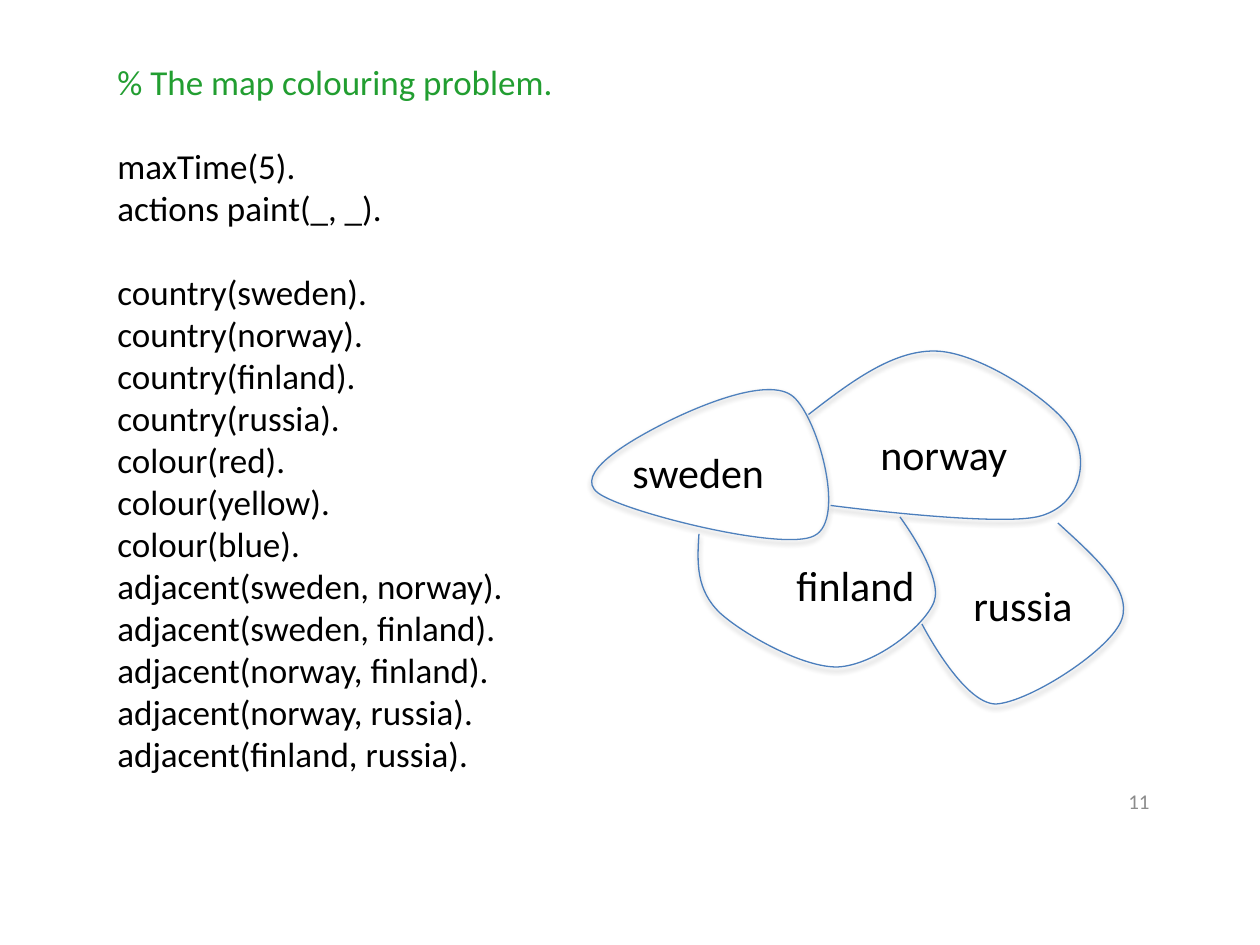
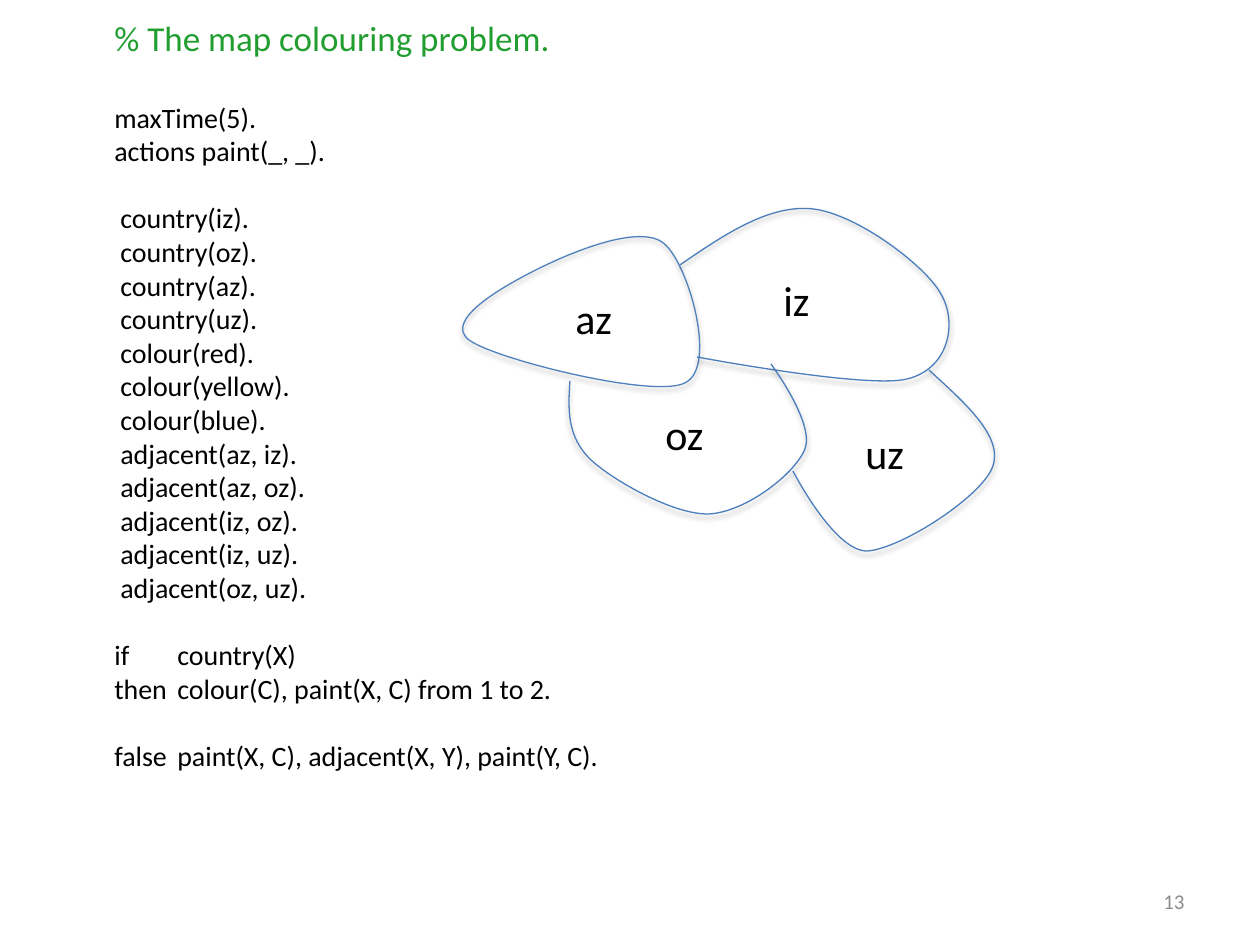
from lxml import etree
from pptx import Presentation
from pptx.dml.color import RGBColor
from pptx.enum.text import MSO_ANCHOR, MSO_AUTO_SIZE, PP_ALIGN
from pptx.oxml.ns import qn
from pptx.util import Pt

PX = 914400 // 126
FONT = "Calibri"
BLACK, GREEN, GREY = "000000", "229E31", "8C8C8C"
BLUE, DEEP = "4F81BD", "4B7EBC"
RIGHT = PP_ALIGN.RIGHT
MIDDLE = MSO_ANCHOR.MIDDLE
GROW = MSO_AUTO_SIZE.SHAPE_TO_FIT_TEXT
TITLE = "% The map colouring problem."
LEADING = 1.2
STEPS = 24

# Each region: line colour, closed or open, start, then Bezier triples.
REGIONS = [
    (BLUE, True, (532, 272), [
        ((499, 289), (444, 321), (469, 340)),
        ((494, 359), (654, 399), (685, 383)),
        ((719, 367), (687, 258), (662, 242)),
        ((635, 224), (563, 256), (532, 272))]),
    (DEEP, False, (680, 265), [
        ((725, 234), (770, 204), (813, 209)),
        ((857, 214), (926, 266), (941, 294)),
        ((958, 323), (949, 369), (907, 379)),
        ((867, 389), (697, 357), (697, 357))]),
    (DEEP, False, (570, 381), [
        ((568, 410), (567, 437), (591, 460)),
        ((614, 481), (674, 515), (709, 514)),
        ((746, 512), (795, 474), (805, 449)),
        ((815, 423), (771, 364), (771, 364))]),
    (DEEP, False, (929, 370), [
        ((965, 403), (1003, 436), (993, 466)),
        ((983, 496), (901, 549), (867, 551)),
        ((834, 551), (793, 471), (793, 471))]),
]
# Neighbours, as places in the list of regions.
BORDERS = [(0, 1), (0, 2), (1, 2), (1, 3), (2, 3)]


def paint(colour, code):
    """Set a colour from a hex string."""
    colour.rgb = RGBColor.from_string(code)


def add_box(shapes, x, y, w, h):
    """Add a wrapping text box and return its text frame."""
    frame = shapes.add_textbox(x * PX, y * PX, w * PX, h * PX).text_frame
    frame.word_wrap = True
    return frame


def add_run(para, text, size, code=BLACK):
    """Add one styled run to a paragraph."""
    run = para.add_run()
    run.text = text
    run.font.name = FONT
    run.font.size = Pt(size)
    paint(run.font.color, code)


def add_code(slide, x, y, h, size, blocks):
    """Write the title and blocks of code, one line apart.

    A block is its indent in pixels and its lines.
    """
    frame = add_box(slide.shapes, x, y, 1101, h)
    frame.auto_size = GROW
    add_run(frame.paragraphs[0], TITLE, 20, GREEN)
    gap = 20 * LEADING
    for indent, lines in blocks:
        for line in lines:
            para = frame.add_paragraph()
            para.space_before = Pt(gap)
            if indent:
                para._p.get_or_add_pPr().set("marL", str(indent * PX))
            add_run(para, line, size)
            gap = 0
        gap = size * LEADING


def add_number(slide, x, y, text):
    """Write the slide number."""
    frame = add_box(slide.shapes, x, y, 294, 50)
    frame.vertical_anchor = MIDDLE
    para = frame.paragraphs[0]
    para.alignment = RIGHT
    add_run(para, text, 12, GREY)


def add_label(shapes, x, y, w, text):
    """Name a region of the map."""
    frame = add_box(shapes, x, y, w, 63)
    frame.auto_size = GROW
    add_run(frame.paragraphs[0], text, 24)


def trace(start, curves):
    """Return points along a chain of Bezier curves."""
    points = [start]
    for b, c, d in curves:
        a = points[-1]
        for step in range(1, STEPS + 1):
            t = step / STEPS
            u = 1 - t
            points.append(tuple(
                u**3 * a[i] + 3 * u * u * t * b[i] + 3 * u * t * t * c[i]
                + t**3 * d[i] for i in (0, 1)))
    return points


def add_shadow(shape):
    """Give a shape a soft shadow below it."""
    shape.shadow.inherit = False
    effects = shape._element.spPr.find(qn("a:effectLst"))
    outer = etree.SubElement(
        effects, qn("a:outerShdw"), blurRad=str(Pt(3.1)), dist=str(Pt(1.8)),
        dir="5400000", rotWithShape="0")
    tint = etree.SubElement(outer, qn("a:srgbClr"), val=BLACK)
    etree.SubElement(tint, qn("a:alpha"), val="35000")


def add_region(shapes, region, shift, turn):
    """Draw the curved outline of one region."""
    code, closed, start, curves = region

    def place(point):
        """Shift a point and scale it to EMU."""
        return tuple(round((p + s) * PX) for p, s in zip(point, shift))

    # The traced line fixes the frame; true curves then replace it.
    points = [place(point) for point in trace(start, curves)]
    pen = shapes.build_freeform(*points[0], scale=1.0)
    pen.add_line_segments(points[1:], close=closed)
    shape = pen.convert_to_shape()
    outline = next(shape._element.iter(qn("a:path")))
    for part in list(outline):
        outline.remove(part)
    parts = [("a:moveTo", [start])] + [("a:cubicBezTo", c) for c in curves]
    for tag, knots in parts:
        part = etree.SubElement(outline, qn(tag))
        for x, y in map(place, knots):
            etree.SubElement(part, qn("a:pt"), x=str(x - shape.left),
                             y=str(y - shape.top))
    if closed:
        etree.SubElement(outline, qn("a:close"))
    shape.rotation = turn
    shape.fill.background()
    paint(shape.line.color, code)
    shape.line.width = Pt(0.75)
    add_shadow(shape)


def add_map(shapes, shifts, turns, labels):
    """Draw the four regions, then their names."""
    for region, shift, turn in zip(REGIONS, shifts, turns):
        add_region(shapes, region, shift, turn)
    for label in labels:
        add_label(shapes, *label)


def list_facts(names, order):
    """Return the facts on countries, colours and borders."""
    return ([f"country({names[i]})." for i in order]
            + [f"colour({hue})." for hue in ("red", "yellow", "blue")]
            + [f"adjacent({names[i]}, {names[j]})." for i, j in BORDERS])


def main():
    """Build both slides and save them."""
    deck = Presentation()
    deck.slide_width, deck.slide_height = 1260 * PX, 945 * PX
    blank = deck.slide_layouts[6]
    setup = (0, ["maxTime(5).", "actions paint(_, _)."])

    slide = deck.slides.add_slide(blank)
    add_number(slide, 868, 776, "11")
    names = ["sweden", "norway", "finland", "russia"]
    add_code(slide, 105, 54, 772, 20,
             [setup, (0, list_facts(names, (0, 1, 2, 3)))])
    near = (129, 153)
    add_map(slide.shapes, [near, (130, 142), near, near], [0, 356.8, 0, 0],
            [(961, 573, 125, "russia"), (784, 553, 213, "finland"),
             (620, 440, 176, "sweden"), (868, 422, 276, "norway")])

    slide = deck.slides.add_slide(blank)
    add_number(slide, 903, 876, "13")
    names = ["az", "iz", "oz", "uz"]
    rule = ["if\tcountry(X)", "then\tcolour(C), paint(X, C) from 1 to 2."]
    ban = ["false\tpaint(X, C), adjacent(X, Y), paint(Y, C)."]
    add_code(slide, 102, 10, 853, 16,
             [setup, (6, list_facts(names, (1, 2, 0, 3))),
              (0, rule), (0, ban)])
    group = slide.shapes.add_group_shape()
    add_map(group.shapes, [(0, 0)] * 4, [0] * 4,
            [(853, 421, 87, "uz"), (653, 402, 87, "oz"),
             (563, 286, 108, "az"), (771, 268, 87, "iz")])

    deck.save("out.pptx")


main()
